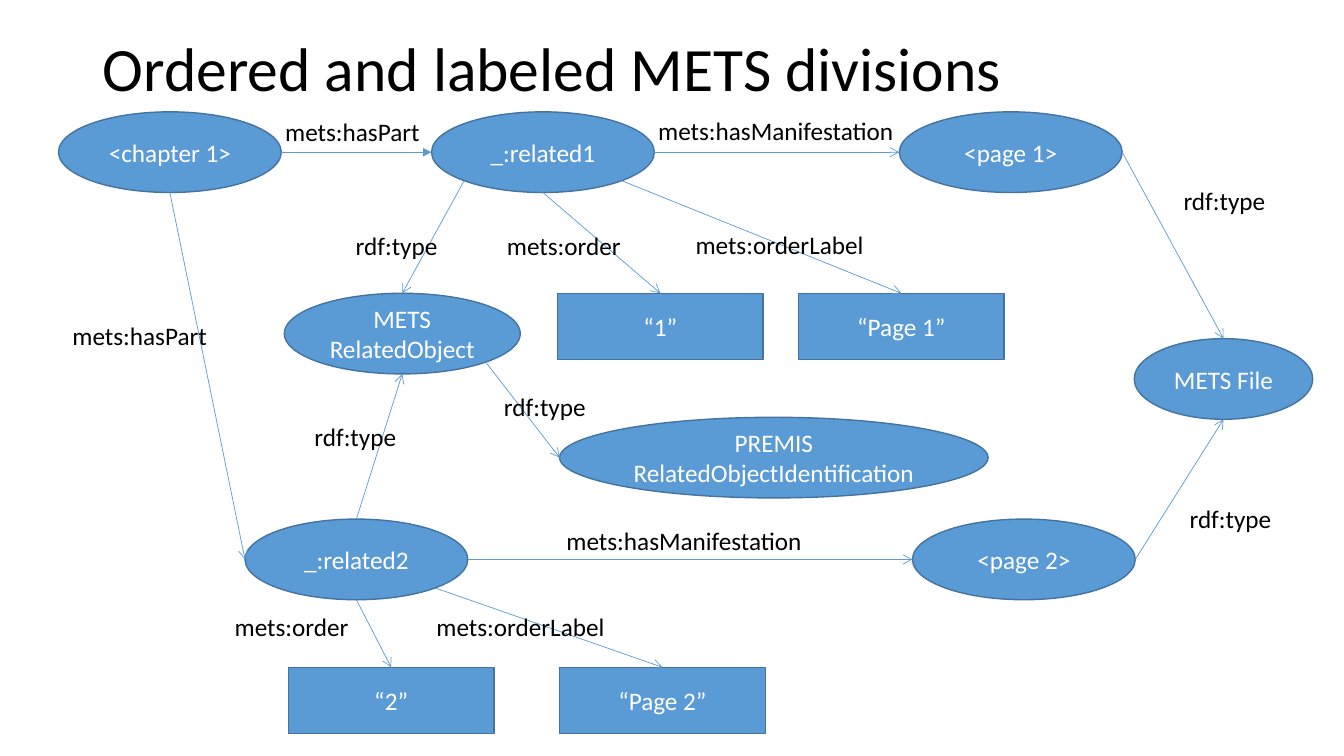
from lxml.etree import SubElement
from pptx import Presentation
from pptx.dml.color import RGBColor
from pptx.enum.shapes import MSO_CONNECTOR, MSO_SHAPE
from pptx.enum.text import MSO_ANCHOR, MSO_AUTO_SIZE, PP_ALIGN
from pptx.oxml.ns import qn
from pptx.util import Emu, Pt

EMU_PER_PX = 9144  # 100 px to the inch

# Where the diagonal connection sites of an ellipse lie in its bounding box
NEAR, FAR = 0.1464, 0.8536
SITES = {
    "top": (0.5, 0), "bottom": (0.5, 1), "left": (0, 0.5), "right": (1, 0.5),
    "bottom left": (NEAR, FAR), "bottom right": (FAR, FAR),
}

ELLIPSES = {  # text: left, top, width
    "<chapter 1>": (58, 111, 221),
    "<page 1>": (892, 111, 221),
    "<page 2>": (905, 515, 221),
    "_:related1": (428, 111, 221),
    "_:related2": (243, 515, 221),
    "PREMIS RelatedObjectIdentification": (555, 414, 425),
    "METS File": (1125, 336, 177),
    "METS RelatedObject": (282, 291, 234),
}
ELLIPSE_HEIGHT = 80

LITERALS = {  # text: left, top
    "“1”": (553, 291),
    "“Page 1”": (792, 291),
    "“2”": (286, 662),
    "“Page 2”": (555, 662),
}
LITERAL_SIZE = (204, 66)

RELATIONS = [  # start, site, end, site, label, label left, label top
    ("<chapter 1>", "right", "_:related1", "left", "mets:hasPart", 273, 111),
    ("<chapter 1>", "bottom", "_:related2", "left", "mets:hasPart", 62, 313),
    ("_:related1", "right", "<page 1>", "left", "mets:hasManifestation", 643, 109),
    ("_:related2", "right", "<page 2>", "left", "mets:hasManifestation", 552, 516),
    ("<page 1>", "right", "METS File", "top", "rdf:type", 1164, 179),
    ("<page 2>", "right", "METS File", "bottom", "rdf:type", 1170, 494),
    ("_:related1", "bottom left", "METS RelatedObject", "top", "rdf:type", 343, 224),
    ("METS RelatedObject", "bottom right", "PREMIS RelatedObjectIdentification", "left",
     "rdf:type", 490, 383),
    ("_:related2", "top", "METS RelatedObject", "bottom", "rdf:type", 302, 413),
    ("_:related1", "bottom", "“1”", "top", "mets:order", 493, 224),
    ("_:related1", "bottom right", "“Page 1”", "top", "mets:orderLabel", 680, 223),
    ("_:related2", "bottom", "“2”", "top", "mets:order", 223, 602),
    ("_:related2", "bottom right", "“Page 2”", "top", "mets:orderLabel", 423, 602),
]
LABEL_WIDTHS = {
    "mets:hasPart": 155, "mets:hasManifestation": 256, "rdf:type": 102,
    "mets:order": 134, "mets:orderLabel": 189,
}
LABEL_HEIGHT = 40


def px(*lengths):
    return [Emu(round(length * EMU_PER_PX)) for length in lengths]


def color(hex_string):
    return RGBColor.from_string(hex_string)


def write(shape, text, *, size=18, ink="000000", align=PP_ALIGN.LEFT,
          anchor=MSO_ANCHOR.TOP, wrap=True, fit=MSO_AUTO_SIZE.NONE, spacing=None):
    frame = shape.text_frame
    frame.text = text
    frame.word_wrap = wrap
    frame.auto_size = fit
    frame.vertical_anchor = anchor
    paragraph = frame.paragraphs[0]
    paragraph.alignment = align
    paragraph.line_spacing = spacing
    font = paragraph.runs[0].font
    font.name = "Calibri"
    font.size = Pt(size)
    font.color.rgb = color(ink)


class GraphSlide:
    fill = "5B9BD5"
    outline = "43739E"

    def __init__(self, presentation):
        self.slide = presentation.slides.add_slide(presentation.slide_layouts[5])
        self.nodes = {}

    def title(self, text, left, top, width, height):
        shape = self.slide.shapes.title
        shape.left, shape.top, shape.width, shape.height = px(left, top, width, height)
        write(shape, text, size=44, anchor=MSO_ANCHOR.MIDDLE, spacing=0.9)

    def node(self, kind, text, left, top, width, height):
        shape = self.slide.shapes.add_shape(kind, *px(left, top, width, height))
        shape.shadow.inherit = False
        shape.fill.solid()
        shape.fill.fore_color.rgb = color(self.fill)
        shape.line.color.rgb = color(self.outline)
        shape.line.width = Pt(1)
        write(shape, text, ink="FFFFFF", align=PP_ALIGN.CENTER, anchor=MSO_ANCHOR.MIDDLE)
        self.nodes[text] = (left, top, width, height)

    def site(self, name, side):
        """Return the point on a node where an arrow may attach."""
        left, top, width, height = self.nodes[name]
        across, down = SITES[side]
        return px(left + across * width, top + down * height)

    def arrow(self, start, end, head):
        connector = self.slide.shapes.add_connector(MSO_CONNECTOR.STRAIGHT, *start, *end)
        connector.line.color.rgb = color(self.fill)
        connector.line.width = Pt(0.5)
        properties = connector._element.spPr
        SubElement(properties.find(qn("a:ln")), qn("a:tailEnd"), type=head)
        SubElement(properties, qn("a:effectLst"))

    def label(self, text, left, top):
        box = self.slide.shapes.add_textbox(*px(left, top, LABEL_WIDTHS[text], LABEL_HEIGHT))
        write(box, text, wrap=False, fit=MSO_AUTO_SIZE.SHAPE_TO_FIT_TEXT)


def main():
    presentation = Presentation()
    presentation.slide_width, presentation.slide_height = px(1333, 750)
    graph = GraphSlide(presentation)
    graph.title("Ordered and labeled METS divisions", 92, 12, 1150, 118)

    for text, (left, top, width) in ELLIPSES.items():
        graph.node(MSO_SHAPE.OVAL, text, left, top, width, ELLIPSE_HEIGHT)
    for text, (left, top) in LITERALS.items():
        graph.node(MSO_SHAPE.RECTANGLE, text, left, top, *LITERAL_SIZE)

    for index, (start, start_side, end, end_side, text, left, top) in enumerate(RELATIONS):
        head = "triangle" if index == 0 else "arrow"
        graph.arrow(graph.site(start, start_side), graph.site(end, end_side), head)
        graph.label(text, left, top)

    presentation.save("out.pptx")


if __name__ == "__main__":
    main()
